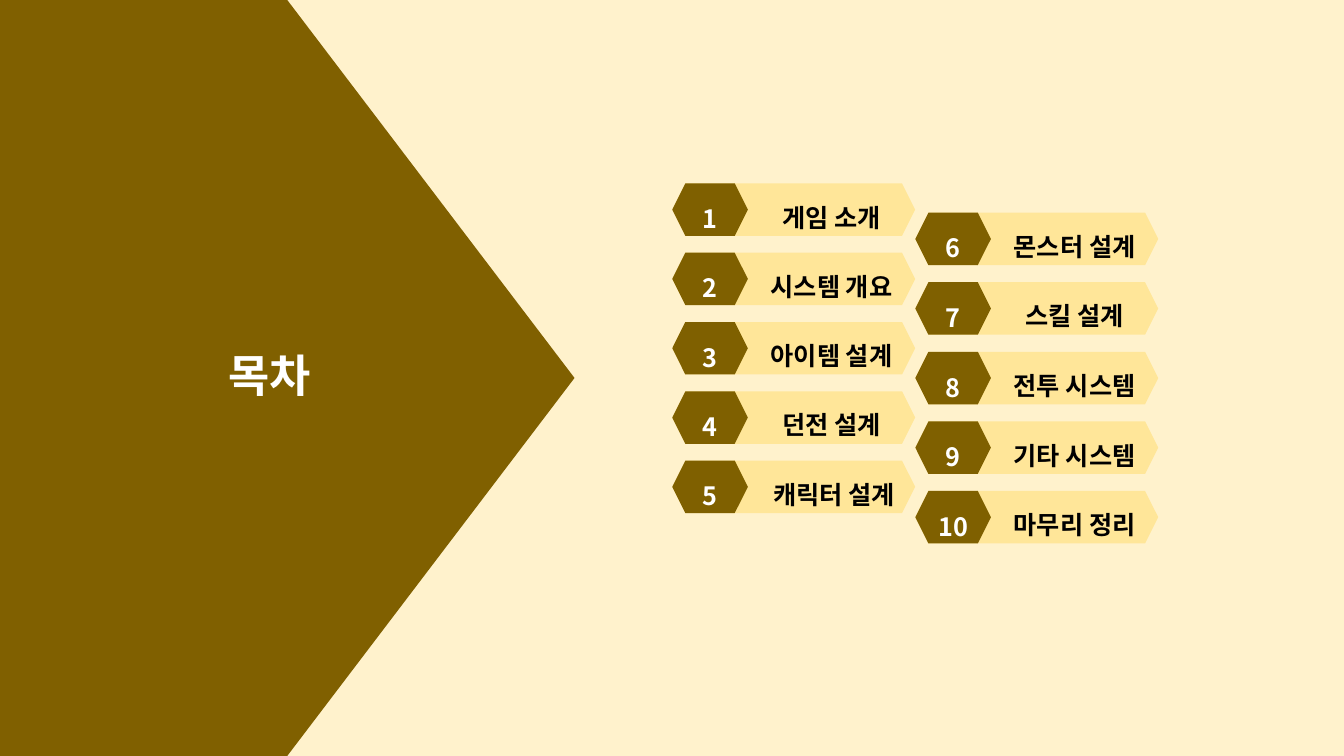
from lxml import etree
from pptx import Presentation
from pptx.dml.color import RGBColor
from pptx.enum.shapes import MSO_SHAPE
from pptx.enum.text import MSO_ANCHOR, MSO_AUTO_SIZE, PP_ALIGN
from pptx.oxml.ns import qn
from pptx.util import Pt

PLATE = MSO_SHAPE.PENTAGON
HEX = MSO_SHAPE.HEXAGON
MIDDLE = MSO_ANCHOR.MIDDLE
CENTER = PP_ALIGN.CENTER
GROW = MSO_AUTO_SIZE.SHAPE_TO_FIT_TEXT
FIXED = MSO_AUTO_SIZE.NONE

CREAM = RGBColor(0xFF, 0xF2, 0xCC)
BROWN = RGBColor(0x80, 0x60, 0x00)
OLIVE = RGBColor(0x7F, 0x60, 0x00)
SAND = RGBColor(0xFF, 0xE6, 0x99)
WHITE = RGBColor(0xFF, 0xFF, 0xFF)
BLACK = RGBColor(0x00, 0x00, 0x00)
FONT = "Noto Sans CJK KR"


def write(box, text, color, size=18, spacing=1.5, fit=GROW):
    frame = box.text_frame
    frame.word_wrap = True
    frame.auto_size = fit
    frame.vertical_anchor = MIDDLE
    para = frame.paragraphs[0]
    para.alignment = CENTER
    para.line_spacing = spacing
    run = para.add_run()
    run.text = text
    font = run.font
    font.size = Pt(size)
    font.bold = True
    font.color.rgb = color
    font.name = FONT
    east = etree.SubElement(run._r.get_or_add_rPr(), qn("a:ea"))
    east.set("typeface", FONT)


def draw(shapes, kind, left, top, width, height, color):
    shape = shapes.add_shape(kind, Pt(left), Pt(top), Pt(width), Pt(height))
    shape.shadow.inherit = False
    shape.fill.solid()
    shape.fill.fore_color.rgb = color
    shape.line.fill.background()


deck = Presentation()
deck.slide_width = Pt(960)
deck.slide_height = Pt(540)
slide = deck.slides.add_slide(deck.slide_layouts[5])
slide.background.fill.solid()
slide.background.fill.fore_color.rgb = CREAM

draw(slide.shapes, PLATE, 0, 0, 410.4, 540, BROWN)

title = slide.shapes.title
title.left, title.top = Pt(19.4), Pt(230.4)
title.width, title.height = Pt(347), Pt(79.2)
write(title, "목차", WHITE, size=32, spacing=0.9, fit=FIXED)
slide.shapes.element.append(title.element)

COLUMNS = [
    (480.2, 131, 49.5, 1,
     ["게임 소개", "시스템 개요", "아이템 설계", "던전 설계", " 캐릭터 설계"]),
    (653.8, 151.9, 49.7, 6,
     ["몬스터 설계", "스킬 설계", "전투 시스템", "기타 시스템", "마무리 정리"]),
]
BAR, BADGE, HIGH, LINE = 173.5, 54, 37.5, 36

for left, start, pitch, first, topics in COLUMNS:
    for row, topic in enumerate(topics):
        top = start + row * pitch
        group = slide.shapes.add_group_shape().shapes
        draw(group, HEX, left, top, BAR, HIGH, SAND)
        label = group.add_textbox(Pt(left + BADGE), Pt(top + 0.6), Pt(BAR - BADGE), Pt(LINE))
        write(label, topic, BLACK)
        draw(group, HEX, left, top, BADGE, HIGH, OLIVE)
        number = group.add_textbox(Pt(left), Pt(top + 1.7), Pt(BADGE), Pt(LINE))
        write(number, str(first + row), WHITE)

deck.save("out.pptx")
